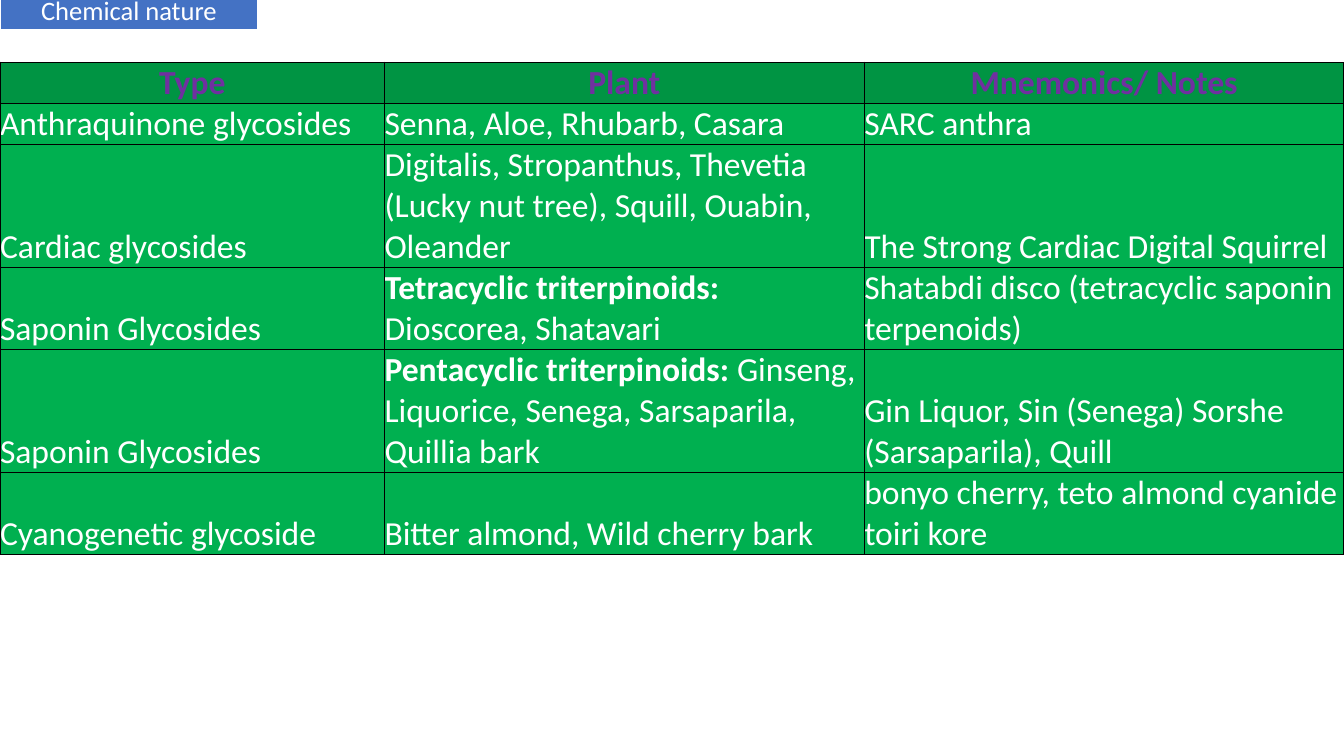
from lxml.etree import SubElement
from pptx import Presentation
from pptx.dml.color import RGBColor
from pptx.enum.text import MSO_ANCHOR as Anchor, MSO_AUTO_SIZE as Fit, PP_ALIGN as Align
from pptx.oxml.ns import qn
from pptx.util import Cm, Pt

# Content: each cell is (bold lead, plain text)
TITLE = "Chemical nature"
HEAD = [("Type", ""), ("Plant", ""), ("Mnemonics/ Notes", "")]
BODY = [
    [("", "Anthraquinone glycosides"),
     ("", "Senna, Aloe, Rhubarb, Casara"),
     ("", "SARC anthra")],
    [("", "Cardiac glycosides"),
     ("", "Digitalis, Stropanthus, Thevetia (Lucky nut tree), Squill, Ouabin, Oleander"),
     ("", "The Strong Cardiac Digital Squirrel")],
    [("", "Saponin Glycosides"),
     ("Tetracyclic triterpinoids: ", "Dioscorea, Shatavari"),
     ("", "Shatabdi disco (tetracyclic saponin terpenoids)")],
    [("", "Saponin Glycosides"),
     ("Pentacyclic triterpinoids:", " Ginseng, Liquorice, Senega, Sarsaparila, Quillia bark"),
     ("", "Gin Liquor, Sin (Senega) Sorshe (Sarsaparila), Quill")],
    [("", "Cyanogenetic glycoside"),
     ("", "Bitter almond, Wild cherry bark"),
     ("", "bonyo cherry, teto almond cyanide toiri kore")],
]
LINES = [1, 1, 3, 2, 3, 2]  # text lines in each row
WIDTHS = [9.69, 12.09, 12.09]
LINE_H = 1.02

FONT = "Calibri"
BLUE = RGBColor(0x44, 0x72, 0xC4)
WHITE = RGBColor(0xFF, 0xFF, 0xFF)
PURPLE = RGBColor(0x70, 0x30, 0xA0)
DARK = RGBColor(0x00, 0x94, 0x43)
GREEN = RGBColor(0x00, 0xB0, 0x50)


def add_run(para, text, size, color, bold=False):
    run = para.add_run()
    run.text = text
    font = run.font
    font.name, font.size, font.bold = FONT, Pt(size), bold
    font.color.rgb = color


def add_edges(cell):
    props = cell._tc.get_or_add_tcPr()
    for i, side in enumerate(("lnL", "lnR", "lnT", "lnB")):
        edge = props.makeelement(qn("a:" + side), {"w": str(Pt(1))})
        fill = SubElement(edge, qn("a:solidFill"))
        SubElement(fill, qn("a:srgbClr"), val="000000")
        props.insert(i, edge)  # edges come before the fill


def fill_cell(cell, parts, head):
    cell.margin_left = cell.margin_right = cell.margin_top = cell.margin_bottom = 0
    cell.vertical_anchor = Anchor.BOTTOM
    cell.fill.solid()
    cell.fill.fore_color.rgb = DARK if head else GREEN
    add_edges(cell)
    para = cell.text_frame.paragraphs[0]
    para.alignment = Align.CENTER if head else Align.LEFT
    for text, bold in zip(parts, (True, False)):
        if text:
            add_run(para, text, 24, PURPLE if head else WHITE, bold)


deck = Presentation()
deck.slide_width, deck.slide_height = Cm(33.87), Cm(19.05)
slide = deck.slides.add_slide(deck.slide_layouts[5])

# Title bar
bar = slide.shapes.title
bar.left, bar.top, bar.width, bar.height = Cm(0), Cm(-0.18), Cm(6.5), Cm(0.94)
bar.fill.solid()
bar.fill.fore_color.rgb = BLUE
bar.line.color.rgb = WHITE
bar.line.width = Pt(1)
frame = bar.text_frame
frame.word_wrap, frame.auto_size = True, Fit.NONE
frame.vertical_anchor = Anchor.MIDDLE
frame.margin_left = frame.margin_right = frame.margin_top = frame.margin_bottom = Cm(0.03)
para = frame.paragraphs[0]
para.alignment, para.line_spacing = Align.CENTER, 0.9
add_run(para, TITLE, 19, WHITE)

# Table of glycosides
rows = [HEAD] + BODY
table = slide.shapes.add_table(len(rows), len(WIDTHS), Cm(0), Cm(1.57),
                               Cm(sum(WIDTHS)), Cm(LINE_H * sum(LINES))).table
table.horz_banding = False
for col, width in zip(table.columns, WIDTHS):
    col.width = Cm(width)
for r, (row, count) in enumerate(zip(rows, LINES)):
    table.rows[r].height = Cm(LINE_H * count)
    for c, parts in enumerate(row):
        fill_cell(table.cell(r, c), parts, r == 0)

deck.save("out.pptx")
